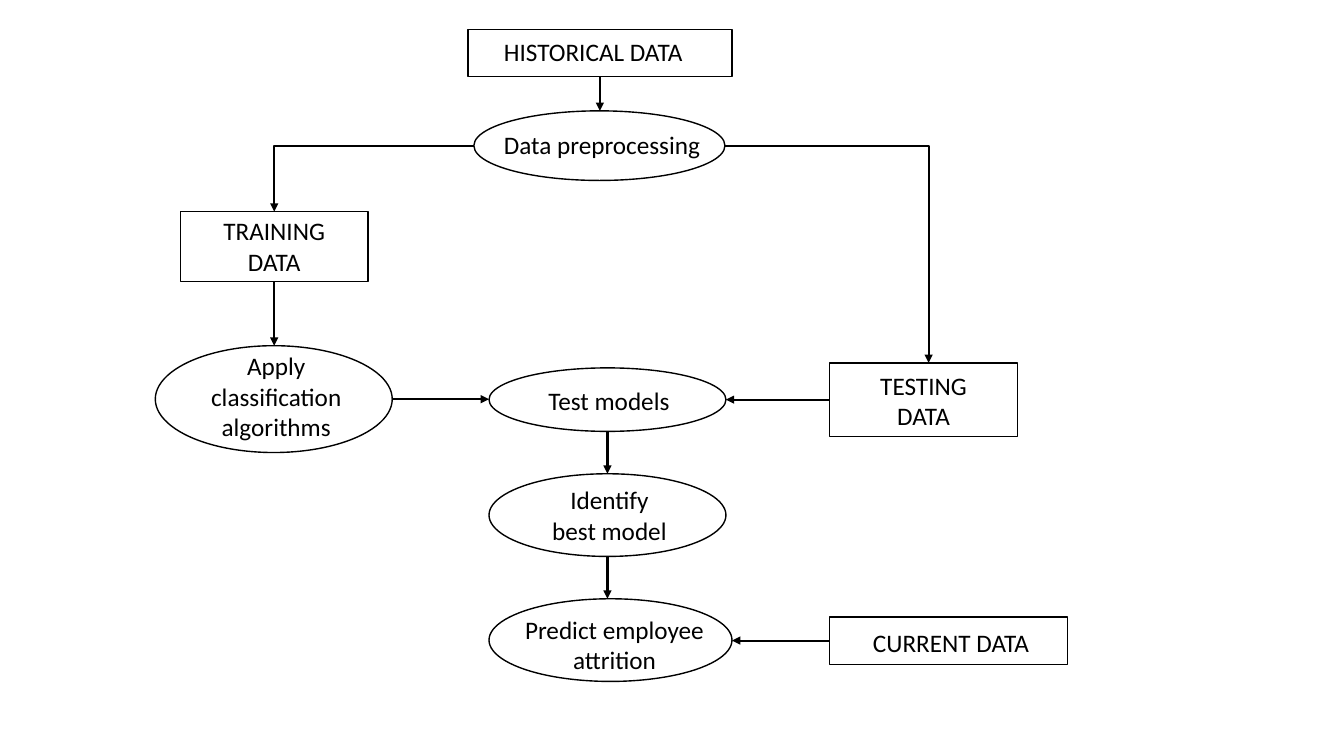
"""Draw the employee attrition model workflow as a flow chart."""
from lxml import etree
from pptx import Presentation
from pptx import util as u
from pptx.dml.color import RGBColor
from pptx.enum import shapes, text
from pptx.oxml.ns import qn

BLACK = RGBColor(0, 0, 0)
WHITE = RGBColor(255, 255, 255)
FONT = {"name": "Calibri", "size": u.Pt(18)}
BOX, OVAL = shapes.MSO_SHAPE.RECTANGLE, shapes.MSO_SHAPE.OVAL
LEFT, MID = text.PP_ALIGN.LEFT, text.PP_ALIGN.CENTER

NODES = {
    "history": (BOX, (4.64, 0.29, 2.62, 0.47), "HISTORICAL DATA", (4.9, 0.31, 2.03, 0.4), LEFT),
    "prep": (OVAL, (4.7, 1.1, 2.49, 0.69), "Data preprocessing", (4.9, 1.23, 2.17, 0.4), LEFT),
    "train": (BOX, (1.79, 2.1, 1.86, 0.69), "TRAINING DATA", (1.94, 2.09, 1.56, 0.71), MID),
    "apply": (OVAL, (1.54, 3.43, 2.35, 1.06), "Apply classification algorithms",
              (1.96, 3.43, 1.56, 1.01), MID),
    "models": (OVAL, (4.85, 3.65, 2.35, 0.63), "Test models", (5.26, 3.77, 1.56, 0.4), MID),
    "testing": (BOX, (8.23, 3.6, 1.86, 0.73), "TESTING DATA", (8.38, 3.62, 1.56, 0.71), MID),
    "best": (OVAL, (4.85, 4.7, 2.35, 0.82), "Identify best model", (5.33, 4.76, 1.43, 0.71), MID),
    "predict": (OVAL, (4.85, 5.94, 2.41, 0.82), "Predict employee attrition",
                (5.06, 6.04, 2.07, 1.01), MID),
    "current": (BOX, (8.23, 6.12, 2.36, 0.47), "CURRENT DATA", (8.56, 6.17, 2.03, 0.4), LEFT),
}
LINKS = [
    ("history", "bottom", "prep", "top", 0),
    ("prep", "left", "train", "top", 0),
    ("prep", "right", "testing", "top", 0.05),
    ("train", "bottom", "apply", "top", 0),
    ("apply", "right", "models", "left", 0),
    ("testing", "left", "models", "right", 0),
    ("models", "bottom", "best", "top", 0),
    ("best", "bottom", "predict", "top", 0),
    ("current", "left", "predict", "right", 0),
]
SIDES = {"top": (0.5, 0), "bottom": (0.5, 1), "left": (0, 0.5), "right": (1, 0.5)}


def inch(vals):
    return [u.Inches(v) for v in vals]


def style(item, vals):
    for key, val in vals.items():
        setattr(item, key, val)


def point(name, side):
    x, y, w, h = NODES[name][1]
    fx, fy = SIDES[side]
    return x + w * fx, y + h * fy


def node(kind, area, words, place, align):
    shape = slide.shapes.add_shape(kind, *inch(area))
    shape.shadow.inherit = False
    shape.fill.solid()
    shape.fill.fore_color.rgb = WHITE
    shape.line.color.rgb = BLACK
    shape.line.width = u.Pt(1)
    label = slide.shapes.add_textbox(*inch(place))
    label.text_frame.word_wrap = True
    para = label.text_frame.paragraphs[0]
    para.alignment = align
    run = para.add_run()
    run.text = words
    style(run.font, FONT)
    run.font.color.rgb = BLACK


def link(start, out, stop, into, shift):
    x1, y1 = point(start, out)
    x2, y2 = point(stop, into)
    bent = out in ("left", "right") and into == "top"
    if bent:
        x2 += shift
    elif out == "bottom":
        x2 = x1
    else:
        y2 = y1
    kind = shapes.MSO_CONNECTOR.ELBOW if bent else shapes.MSO_CONNECTOR.STRAIGHT
    arrow = slide.shapes.add_connector(kind, *inch((x1, y1, x2, y2)))
    arrow.line.color.rgb = BLACK
    arrow.line.width = u.Pt(1.5)
    props = arrow._element.spPr
    if bent:
        props.find(qn("a:prstGeom")).set("prst", "bentConnector2")
    etree.SubElement(props.find(qn("a:ln")), qn("a:tailEnd"), type="triangle")
    etree.SubElement(props, qn("a:effectLst"))


deck = Presentation()
style(deck, {"slide_width": u.Inches(13.33), "slide_height": u.Inches(7.5)})
slide = deck.slides.add_slide(deck.slide_layouts[6])
for item in NODES.values():
    node(*item)
for item in LINKS:
    link(*item)
deck.save("out.pptx")
